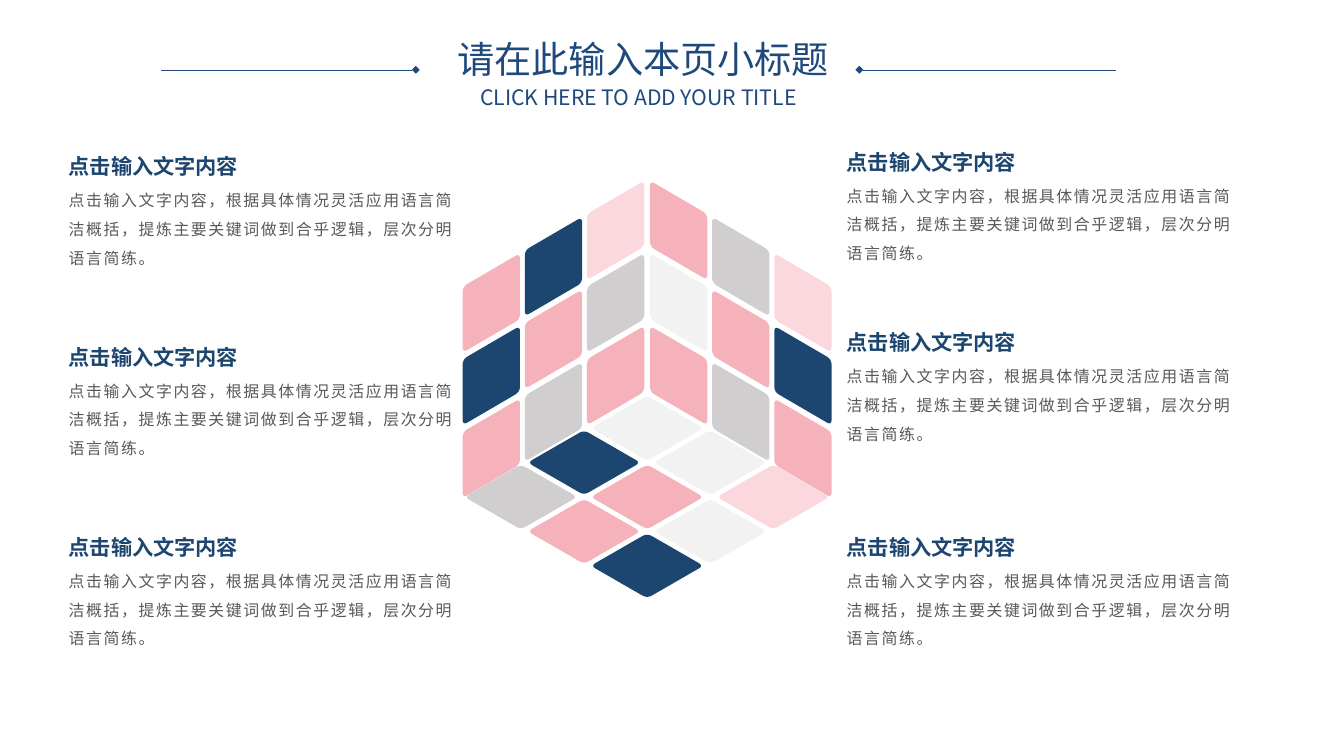
from dataclasses import dataclass

from lxml import etree
from pptx import Presentation
from pptx.dml.color import RGBColor
from pptx.enum.shapes import MSO_CONNECTOR
from pptx.enum.text import MSO_ANCHOR, MSO_AUTO_SIZE, PP_ALIGN
from pptx.oxml.ns import qn
from pptx.util import Inches, Pt

STRAIGHT = MSO_CONNECTOR.STRAIGHT
MIDDLE, TOP = MSO_ANCHOR.MIDDLE, MSO_ANCHOR.TOP
CENTER, LEFT = PP_ALIGN.CENTER, PP_ALIGN.LEFT
GROW, FIXED = MSO_AUTO_SIZE.SHAPE_TO_FIT_TEXT, MSO_AUTO_SIZE.NONE


@dataclass(frozen=True)
class Theme:
    font: str = "Noto Sans CJK SC"
    latin: str = "Arial"
    title: str = "1F497D"
    body: str = "595959"
    navy: str = "1C4670"
    pink: str = "F5B2BA"
    blush: str = "FAD8DD"
    grey: str = "D0CECE"
    pale: str = "F2F2F2"
    title_size: int = 28
    head_size: int = 16
    body_size: int = 12


THEME = Theme()
NAVY, PINK, BLUSH = THEME.navy, THEME.pink, THEME.blush
GREY, PALE = THEME.grey, THEME.pale

HEAD = "点击输入文字内容"
BODY = ("点击输入文字内容，根据具体情况灵活应用语言简洁概括，"
        "提炼主要关键词做到合乎逻辑，层次分明语言简练。")
NOTES = [(0.62, 1.56), (0.62, 3.55), (0.62, 5.54),
         (8.76, 1.51), (8.76, 3.4), (8.76, 5.54)]

# Walls run from the middle outwards, each column from top to bottom.
LEFT_WALL = [(BLUSH, GREY, PINK), (NAVY, PINK, GREY), (PINK, NAVY, PINK)]
RIGHT_WALL = [(PINK, PALE, PINK), (GREY, PINK, GREY), (BLUSH, NAVY, PINK)]
# Floor rows run down to the left, cells in a row down to the right.
FLOOR = [(PALE, PALE, BLUSH), (NAVY, PINK, PALE), (GREY, PINK, NAVY)]

WALL_TILE = [(0.6, -0.03), (0, 0.32), (0, 1.01), (0.6, 0.66)]
FLOOR_TILE = [(0.57, -0.02), (-0.02, 0.32), (0.57, 0.66), (1.16, 0.32)]
CUT = 0.06
STEPS = 6


def add_text(slide, text, box, size, color, font=THEME.font, bold=False,
             align=LEFT, anchor=TOP, fit=FIXED, lead=None, before=None,
             track=None):
    frame = slide.shapes.add_textbox(*map(Inches, box)).text_frame
    frame.word_wrap = True
    frame.auto_size = fit
    frame.vertical_anchor = anchor
    para = frame.paragraphs[0]
    para.alignment = align
    if lead:
        para.line_spacing = lead
    if before:
        para.space_before = Pt(before)
    run = para.add_run()
    run.text = text
    run.font.name = font
    run.font.size = Pt(size)
    run.font.bold = bold
    run.font.color.rgb = RGBColor.from_string(color)
    props = run.font._element
    if track:
        props.set("spc", str(round(track * 100)))
    east = etree.Element(qn("a:ea"), typeface=THEME.font)
    props.find(qn("a:latin")).addnext(east)


def toward(start, end, reach):
    """Return the point that lies reach inches from start on the way to end."""
    dx, dy = end[0] - start[0], end[1] - start[1]
    part = reach / (dx * dx + dy * dy) ** 0.5
    return start[0] + dx * part, start[1] + dy * part


def soften(corners):
    """Return the outline with each corner replaced by a short curve."""
    points = []
    for i, corner in enumerate(corners):
        first = toward(corner, corners[i - 1], CUT)
        last = toward(corner, corners[(i + 1) % len(corners)], CUT)
        for step in range(STEPS + 1):
            t = step / STEPS
            points.append(tuple(
                (1 - t) ** 2 * a + 2 * t * (1 - t) * b + t * t * c
                for a, b, c in zip(first, corner, last)))
    return points


def add_tile(slide, corners, left, top, color):
    points = [(Inches(left + x), Inches(top + y)) for x, y in soften(corners)]
    build = slide.shapes.build_freeform(*points[0], scale=1.0)
    build.add_line_segments(points[1:], close=True)
    tile = build.convert_to_shape()
    tile.shadow.inherit = False
    tile.fill.solid()
    tile.fill.fore_color.rgb = RGBColor.from_string(color)
    tile.line.fill.background()


def add_wall(slide, mid, top, side, colors):
    """Place a wall beside the middle seam; side is -1 for left, 1 for right."""
    tile = [(side * (0.6 - x), y) for x, y in WALL_TILE]
    for col, column in enumerate(colors):
        for row, color in enumerate(column):
            add_tile(slide, tile, mid + side * (0.03 + 0.65 * col),
                     top + 0.38 * (col + 2 * row), color)


def add_floor(slide, left, top):
    for row, cells in enumerate(FLOOR):
        for col, color in enumerate(cells):
            add_tile(slide, FLOOR_TILE, left + 0.66 * (col - row),
                     top + 0.36 * (col + row), color)


def add_cube(slide, left, top):
    mid = left + 1.93
    add_wall(slide, mid, top, -1, LEFT_WALL)
    add_wall(slide, mid, top, 1, RIGHT_WALL)
    add_floor(slide, mid - 0.57, top + 2.24)


def add_note(slide, left, top):
    add_text(slide, HEAD, (left, top, 2.52, 0.37), THEME.head_size, NAVY,
             bold=True, fit=GROW)
    add_text(slide, BODY, (left, top + 0.29, 4.24, 1.01), THEME.body_size,
             THEME.body, fit=GROW, lead=1.5, track=1.2)


def add_rule(slide, start, end, top):
    rule = slide.shapes.add_connector(
        STRAIGHT, *map(Inches, (start, top, end, top)))
    rule.line.width = Pt(0.25)
    rule.line.color.rgb = RGBColor.from_string(THEME.title)
    etree.SubElement(rule.line._get_or_add_ln(), qn("a:headEnd"),
                     type="diamond")
    etree.SubElement(rule._element.spPr, qn("a:effectLst"))


def add_header(slide, left, top):
    style = dict(color=THEME.title, align=CENTER, anchor=MIDDLE,
                 lead=0.9, before=10)
    add_rule(slide, left + 2.67, left, top + 0.32)
    add_rule(slide, left + 7.31, left + 9.99, top + 0.32)
    add_text(slide, "CLICK HERE TO ADD YOUR TITLE",
             (left + 2.42, top + 0.39, 5.16, 0.47), THEME.head_size, **style)
    add_text(slide, " 请在此输入本页小标题",
             (left + 1.94, top, 6.13, 0.47), THEME.title_size,
             font=THEME.latin, **style)


def main():
    deck = Presentation()
    deck.slide_width, deck.slide_height = Inches(14.06), Inches(7.91)
    slide = deck.slides.add_slide(deck.slide_layouts[6])
    add_header(slide, 1.68, 0.41)
    add_cube(slide, 4.84, 1.92)
    for left, top in NOTES:
        add_note(slide, left, top)
    deck.save("out.pptx")


if __name__ == "__main__":
    main()
